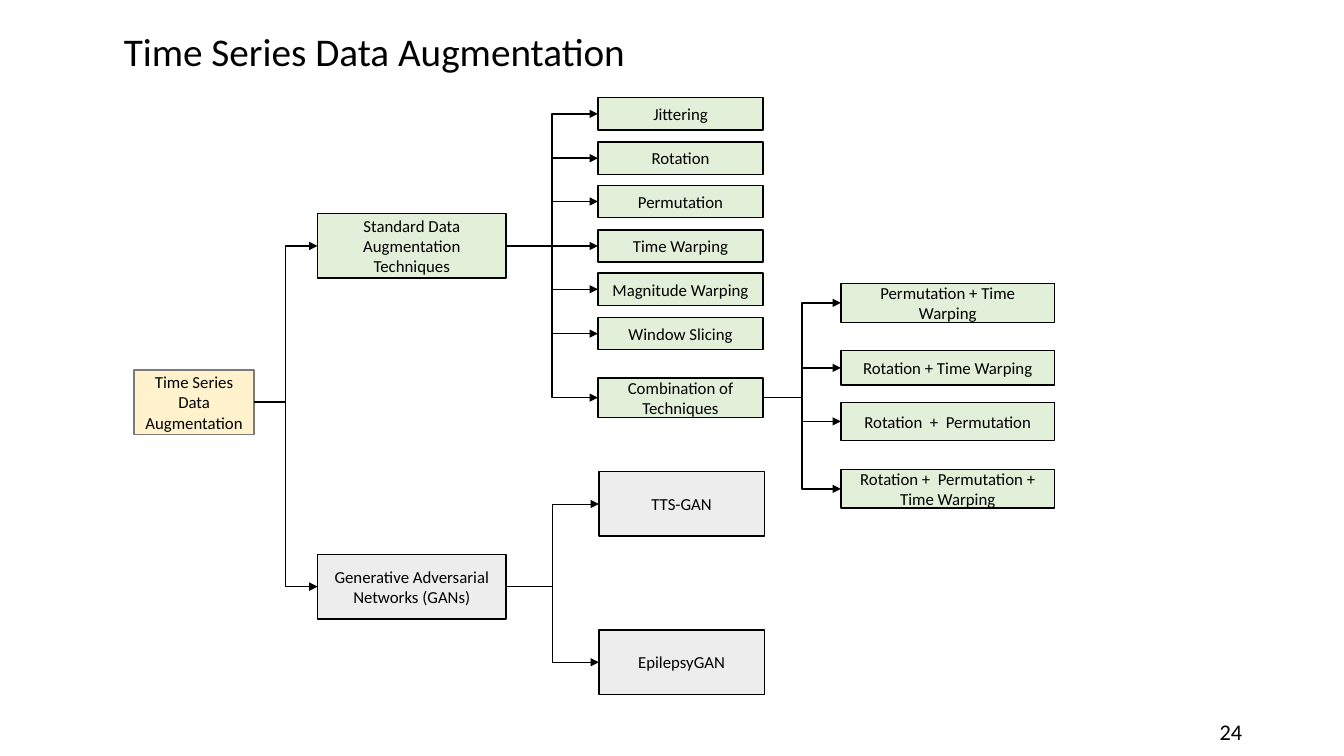
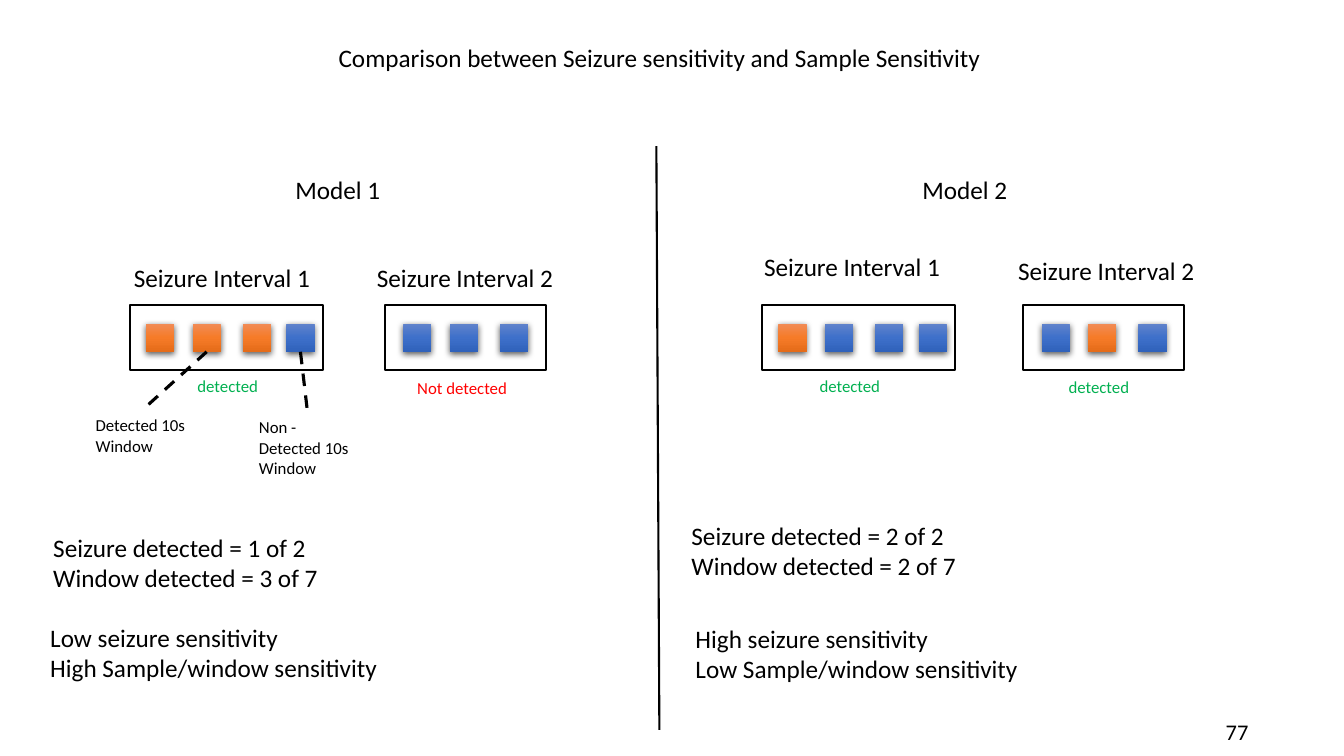
from dataclasses import dataclass

from lxml.etree import SubElement
from pptx import Presentation
from pptx.dml.color import RGBColor
from pptx.enum.dml import MSO_LINE
from pptx.enum.shapes import MSO_CONNECTOR, MSO_SHAPE
from pptx.enum.text import MSO_ANCHOR, PP_ALIGN
from pptx.oxml.ns import qn
from pptx.util import Emu, Pt

PX = 9144
TOP, LEFT, BOTTOM, RIGHT = range(4)


@dataclass(frozen=True)
class Theme:
    """Colours, font and type sizes shared by the slides."""

    font: str = "Calibri"
    ink: str = "000000"
    root_line: str = "7A7A7A"
    root: str = "FFF2CC"
    standard: str = "E2F0D9"
    gan: str = "EDEDED"
    hit: str = "00B050"
    miss: str = "FF0000"
    detected_stops: tuple = ("F18C57", "F67B28", "E56C19")
    undetected_stops: tuple = ("6183CB", "3E70CA", "3062BB")
    title: int = 28
    body: int = 18
    page: int = 16
    label: int = 12


THEME = Theme()
WINDOW = 28
WINDOW_OFFSETS = {4: (16, 62, 112, 155), 3: (18, 64, 114)}


def px(*lengths):
    """Turn px lengths into EMU."""
    return [Emu(round(length * PX)) for length in lengths]


def apply(target, **values):
    """Set every given attribute on the target."""
    for name, value in values.items():
        setattr(target, name, value)


def write(frame, text, size, color=THEME.ink, anchor=MSO_ANCHOR.TOP, **paragraph_format):
    """Fill a text frame, one paragraph a line."""
    apply(frame, word_wrap=True, vertical_anchor=anchor)
    frame.text = text
    for paragraph in frame.paragraphs:
        apply(paragraph, **paragraph_format)
        apply(paragraph.font, name=THEME.font, size=Pt(size))
        paragraph.font.color.rgb = RGBColor.from_string(color)


def add_text(slide, box, text, size=THEME.body, **options):
    """Place a text box given as left, top, width and height."""
    write(slide.shapes.add_textbox(*px(*box)).text_frame, text, size, **options)


def add_page_number(slide, number, right):
    """Place the page number, ending at the given right edge."""
    add_text(slide, (right - 100, 708, 100, 40), number, THEME.page, alignment=PP_ALIGN.RIGHT)


def add_rectangle(slide, box):
    """Place a rectangle without the default shadow."""
    rectangle = slide.shapes.add_shape(MSO_SHAPE.RECTANGLE, *px(*box))
    rectangle.shadow.inherit = False
    return rectangle


def set_outline(line, width, color=THEME.ink):
    """Give a line its colour and width."""
    line.color.rgb = RGBColor.from_string(color)
    line.width = Pt(width)


def add_node(slide, box, text, fill, outline=THEME.ink):
    """Place a labelled node of the tree."""
    node = add_rectangle(slide, box)
    node.fill.solid()
    node.fill.fore_color.rgb = RGBColor.from_string(fill)
    set_outline(node.line, 1, outline)
    write(node.text_frame, text, THEME.label, anchor=MSO_ANCHOR.MIDDLE, alignment=PP_ALIGN.CENTER)
    return node


def add_line(slide, ends, width, kind=MSO_CONNECTOR.STRAIGHT, dash=None, arrow=False):
    """Draw a connector between two points."""
    connector = slide.shapes.add_connector(kind, *px(*ends))
    set_outline(connector.line, width)
    if dash:
        connector.line.dash_style = dash
    properties = connector.element.spPr
    if arrow:
        SubElement(properties.find(qn("a:ln")), qn("a:tailEnd"), type="triangle")
    SubElement(properties, qn("a:effectLst"))
    return connector


def add_branches(slide, parent, children, width=1):
    """Join a parent node to each child with an elbow arrow."""
    for child in children:
        branch = add_line(slide, (0, 0, 0, 0), width, MSO_CONNECTOR.ELBOW, arrow=True)
        branch.begin_connect(parent, RIGHT)
        branch.end_connect(child, LEFT)


def add_window(slide, left, top, stops):
    """Place a shaded window square with a soft shadow."""
    window = add_rectangle(slide, (left, top, WINDOW, WINDOW))
    window.line.fill.background()
    window.fill.gradient()
    window.fill.gradient_angle = 270
    properties = window.element.spPr
    stop_list = properties.find(qn("a:gradFill")).find(qn("a:gsLst"))
    for stop in list(stop_list):
        stop_list.remove(stop)
    for index, color in enumerate(stops):
        stop = SubElement(stop_list, qn("a:gs"), pos=str(index * 50000))
        SubElement(stop, qn("a:srgbClr"), val=color)
    shadow = SubElement(
        properties.find(qn("a:effectLst")), qn("a:outerShdw"),
        blurRad=str(Pt(4.5)), dist=str(Pt(1.5)), dir="5400000", algn="ctr", rotWithShape="0",
    )
    shade = SubElement(shadow, qn("a:srgbClr"), val=THEME.ink)
    SubElement(shade, qn("a:alpha"), val="63000")
    return window


def add_interval(slide, left, width, hits):
    """Place a seizure interval; each hit flag makes one window."""
    top, height = 303, 64
    interval = add_rectangle(slide, (left, top, width, height))
    interval.fill.background()
    set_outline(interval.line, 1.5)
    return [
        add_window(slide, left + offset, top + (height - WINDOW) // 2,
                   THEME.detected_stops if hit else THEME.undetected_stops)
        for offset, hit in zip(WINDOW_OFFSETS[len(hits)], hits)
    ]


def build_augmentation(slide):
    """Build the tree of augmentation methods."""
    add_text(slide, (113, 10, 1150, 87), "Time Series Data Augmentation", THEME.title,
             anchor=MSO_ANCHOR.MIDDLE, line_spacing=0.9)
    root = add_node(slide, (133, 367, 119, 64), "Time Series Data Augmentation",
                    THEME.root, THEME.root_line)
    standard = add_node(slide, (315, 212, 187, 64), "Standard Data Augmentation Techniques",
                        THEME.standard)
    gans = add_node(slide, (315, 550, 187, 64), "Generative Adversarial Networks (GANs)", THEME.gan)
    names = ("Jittering", "Rotation", "Permutation", "Time Warping",
             "Magnitude Warping", "Window Slicing")
    techniques = [
        add_node(slide, (593, 97 + round(index * 43.6), 164, 32), name, THEME.standard)
        for index, name in enumerate(names)
    ]
    combination = add_node(slide, (593, 375, 164, 39), "Combination of Techniques", THEME.standard)
    mixes = [
        add_node(slide, (834, top, 212, height), name, THEME.standard)
        for top, height, name in (
            (281, 39, "Permutation + Time Warping"),
            (348, 34, "Rotation + Time Warping"),
            (399, 38, "Rotation  +  Permutation"),
            (466, 38, "Rotation +  Permutation + Time Warping"),
        )
    ]
    gan_models = [
        add_node(slide, (594, top, 164, 64), name, THEME.gan)
        for top, name in ((468, "TTS-GAN"), (625, "EpilepsyGAN"))
    ]
    add_branches(slide, root, (standard, gans))
    add_branches(slide, standard, (*techniques, combination))
    add_branches(slide, combination, mixes)
    add_branches(slide, gans, gan_models, 0.5)
    add_page_number(slide, "24", 1242)


def build_comparison(slide):
    """Build the comparison of the two models."""
    add_text(slide, (326, 37, 670, 40),
             "Comparison between Seizure sensitivity and Sample Sensitivity")
    add_line(slide, (651, 145, 654, 724), 1.5)
    intervals = [
        add_interval(slide, left, width, hits)
        for left, width, hits in (
            (129, 191, (True, True, True, False)),
            (382, 160, (False, False, False)),
            (756, 191, (True, False, False, False)),
            (1015, 159, (False, True, False)),
        )
    ]
    for left, top, width, text in (
        (283, 168, 115, "Model 1"),
        (905, 168, 115, "Model 2"),
        (123, 255, 217, "Seizure Interval 1"),
        (364, 255, 217, "Seizure Interval 2"),
        (748, 244, 217, "Seizure Interval 1"),
        (1000, 248, 217, "Seizure Interval 2"),
        (43, 523, 350, "Seizure detected = 1 of 2\nWindow detected = 3 of 7"),
        (676, 511, 350, "Seizure detected = 2 of 2\nWindow detected = 2 of 7"),
        (40, 612, 370, "Low seizure sensitivity\nHigh Sample/window sensitivity"),
        (680, 613, 370, "High seizure sensitivity\nLow Sample/window sensitivity"),
    ):
        add_text(slide, (left, top, width, 40), text)
    for left, top, width, text, color in (
        (186, 368, 90, "detected", THEME.hit),
        (404, 370, 136, "Not detected", THEME.miss),
        (803, 368, 90, "detected", THEME.hit),
        (1050, 369, 90, "detected", THEME.hit),
        (85, 407, 111, "Detected 10s Window", THEME.ink),
        (247, 409, 117, "Non - Detected 10s Window", THEME.ink),
    ):
        add_text(slide, (left, top, width, 30), text, THEME.label, color=color)
    _, detected, _, undetected = intervals[0]
    for window, end in ((detected, (141, 407)), (undetected, (305, 409))):
        pointer = add_line(slide, (*end, *end), 2.25, dash=MSO_LINE.DASH)
        pointer.begin_connect(window, BOTTOM)
    add_page_number(slide, "77", 1248)


def main():
    """Build and save the presentation."""
    presentation = Presentation()
    width, height = px(1333, 750)
    apply(presentation, slide_width=width, slide_height=height)
    for build in (build_augmentation, build_comparison):
        build(presentation.slides.add_slide(presentation.slide_layouts[6]))
    presentation.save("out.pptx")


if __name__ == "__main__":
    main()
